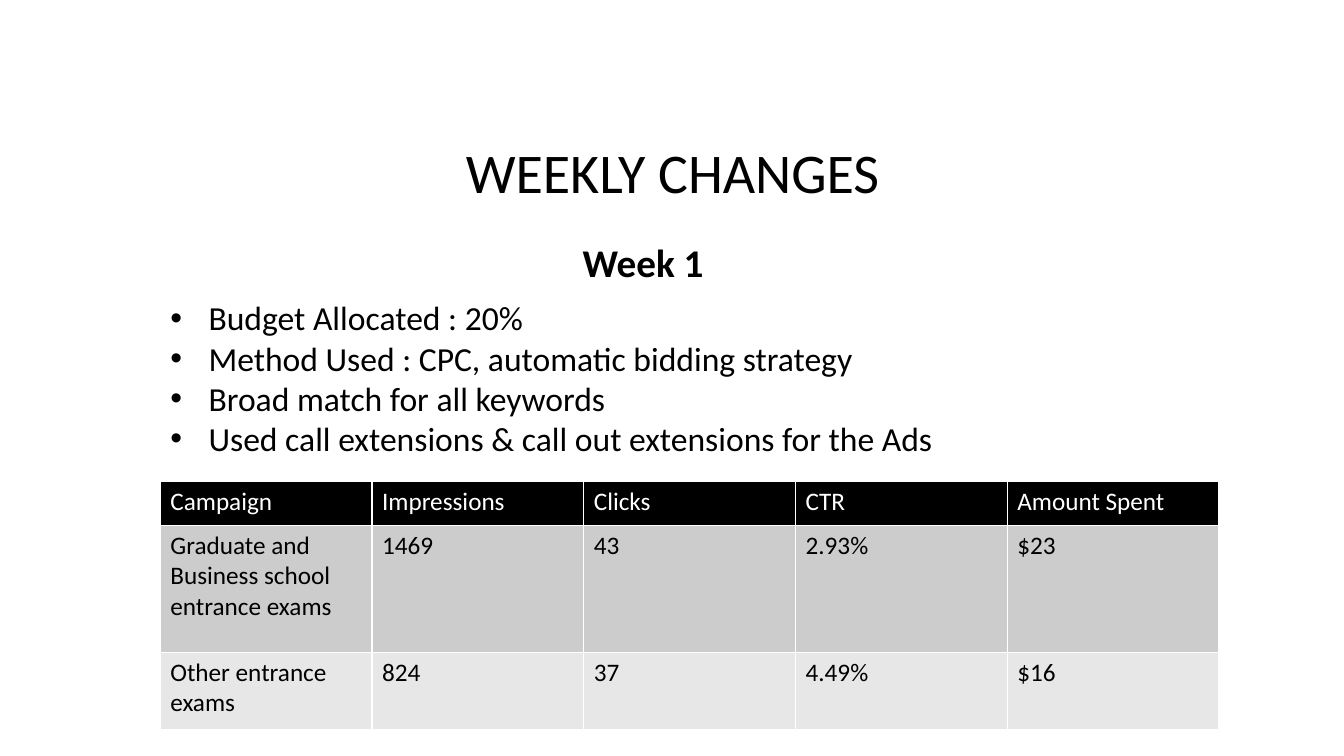
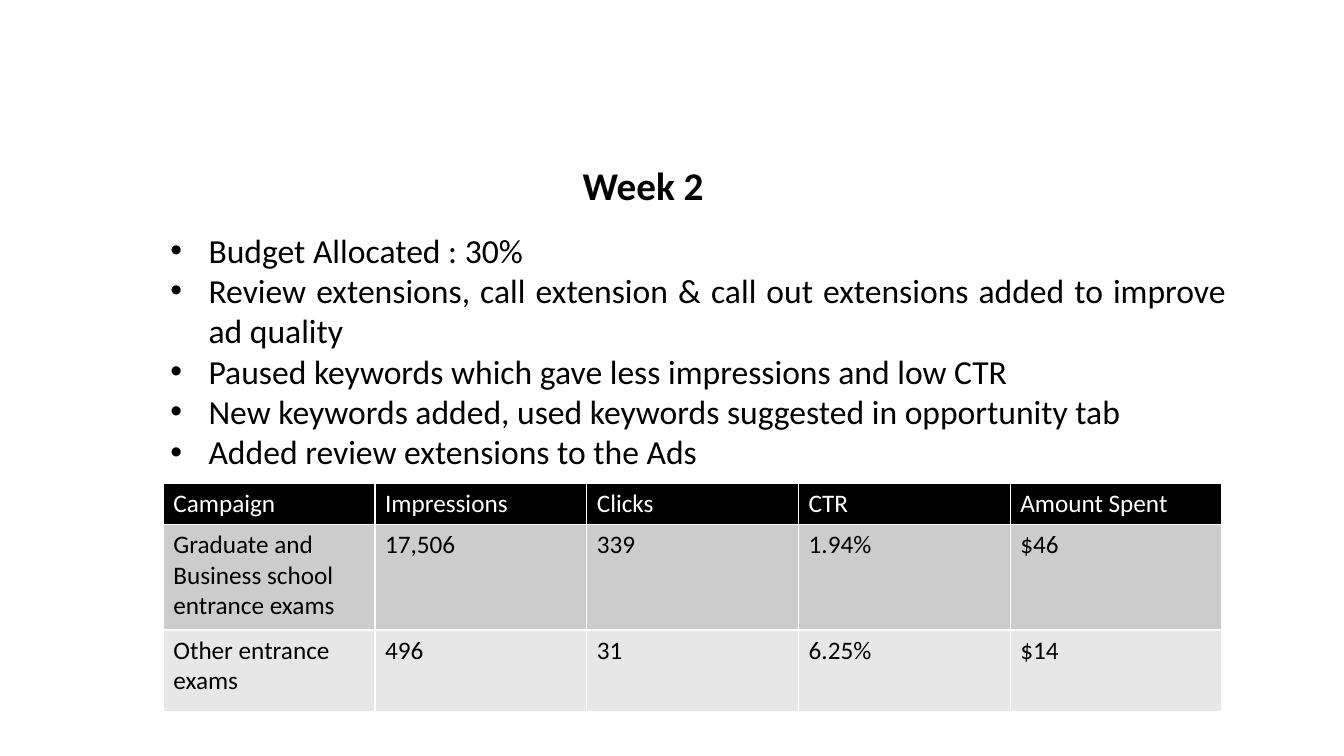
from lxml import etree
from pptx import Presentation
from pptx.dml.color import RGBColor
from pptx.enum.text import MSO_ANCHOR, PP_ALIGN
from pptx.oxml.ns import qn
from pptx.util import Inches, Pt

CENTER, JUSTIFY, LEFT = PP_ALIGN.CENTER, PP_ALIGN.JUSTIFY, PP_ALIGN.LEFT
TOP, MIDDLE = MSO_ANCHOR.TOP, MSO_ANCHOR.MIDDLE
BLACK = RGBColor(0x00, 0x00, 0x00)
WHITE = RGBColor(0xFF, 0xFF, 0xFF)
ROW_FILLS = [BLACK, RGBColor(0xCC, 0xCC, 0xCC), RGBColor(0xE7, 0xE7, 0xE7)]
FONT = "Calibri"
COL_WIDTH = 2.1

HEADER = ["Campaign", "Impressions", "Clicks", "CTR", "Amount Spent"]
CAMPAIGNS = [
    ["Graduate and", "Business school", "entrance exams"],
    ["Other entrance", "exams"],
]
WEEKS = [
    {
        "title": "WEEKLY CHANGES",
        "week": "Week 1",
        "week_top": 2.32,
        "bullets": [
            "Budget Allocated : 20%",
            "Method Used : CPC, automatic bidding strategy",
            "Broad match for all keywords",
            "Used call extensions & call out extensions for the Ads",
        ],
        "bullets_at": (1.58, 2.9, 9.59, 2.02),
        "results": [["1469", "43", "2.93%", "$23"], ["824", "37", "4.49%", "$16"]],
        "table_at": (1.59, 4.78),
        "row_heights": [0.43, 1.26, 0.77],
    },
    {
        "week": "Week 2",
        "week_top": 1.55,
        "bullets": [
            "Budget Allocated : 30%",
            "Review extensions, call extension & call out extensions added to improve ad quality",
            "Paused keywords which gave less impressions and low CTR",
            "New keywords added, used keywords suggested in opportunity tab",
            "Added review extensions to the Ads",
        ],
        "bullets_at": (1.58, 2.23, 10.68, 3.77),
        "results": [["17,506", "339", "1.94%", "$46"], ["496", "31", "6.25%", "$14"]],
        "table_at": (1.62, 4.8),
        "row_heights": [0.32, 1.05, 0.81],
    },
]


def write(tf, lines, size, color=BLACK, bold=False, align=LEFT):
    for i, line in enumerate(lines):
        p = tf.paragraphs[0] if i == 0 else tf.add_paragraph()
        p.alignment = align
        r = p.add_run()
        r.text = line
        r.font.name, r.font.size, r.font.bold = FONT, Pt(size), bold
        r.font.color.rgb = color


def add_text(s, at, lines, size, anchor=TOP, **style):
    tf = s.shapes.add_textbox(*map(Inches, at)).text_frame
    tf.word_wrap = True
    tf.vertical_anchor = anchor
    write(tf, lines, size, **style)
    return tf


def add_bullets(s, at, lines):
    tf = add_text(s, at, lines, 24, align=JUSTIFY)
    for p in tf.paragraphs:
        pPr = p._p.get_or_add_pPr()
        pPr.set("marL", str(Inches(0.39)))
        pPr.set("indent", str(Inches(-0.38)))
        etree.SubElement(pPr, qn("a:buFont")).set("typeface", "Arial")
        etree.SubElement(pPr, qn("a:buChar")).set("char", "•")


def add_results(s, at, results, heights):
    rows = [[[text] for text in HEADER]]
    for campaign, values in zip(CAMPAIGNS, results):
        rows.append([campaign] + [[value] for value in values])
    size = (COL_WIDTH * len(HEADER), sum(heights))
    table = s.shapes.add_table(len(rows), len(HEADER), *map(Inches, at + size)).table
    for col in table.columns:
        col.width = Inches(COL_WIDTH)
    for i, (row, height, fill) in enumerate(zip(rows, heights, ROW_FILLS)):
        table.rows[i].height = Inches(height)
        for cell, lines in zip(table.rows[i].cells, row):
            cell.fill.solid()
            cell.fill.fore_color.rgb = fill
            write(cell.text_frame, lines, 18, color=BLACK if i else WHITE)


def main():
    prs = Presentation()
    prs.slide_width, prs.slide_height = Inches(13.33), Inches(7.5)
    for week in WEEKS:
        s = prs.slides.add_slide(prs.slide_layouts[6])
        if "title" in week:
            add_text(s, (0.67, 1.07, 12, 1.25), [week["title"]], 40, MIDDLE, align=CENTER)
        add_bullets(s, week["bullets_at"], week["bullets"])
        add_text(s, (5.68, week["week_top"], 1.94, 0.57), [week["week"]], 28, bold=True)
        add_results(s, week["table_at"], week["results"], week["row_heights"])
    prs.save("out.pptx")


if __name__ == "__main__":
    main()
